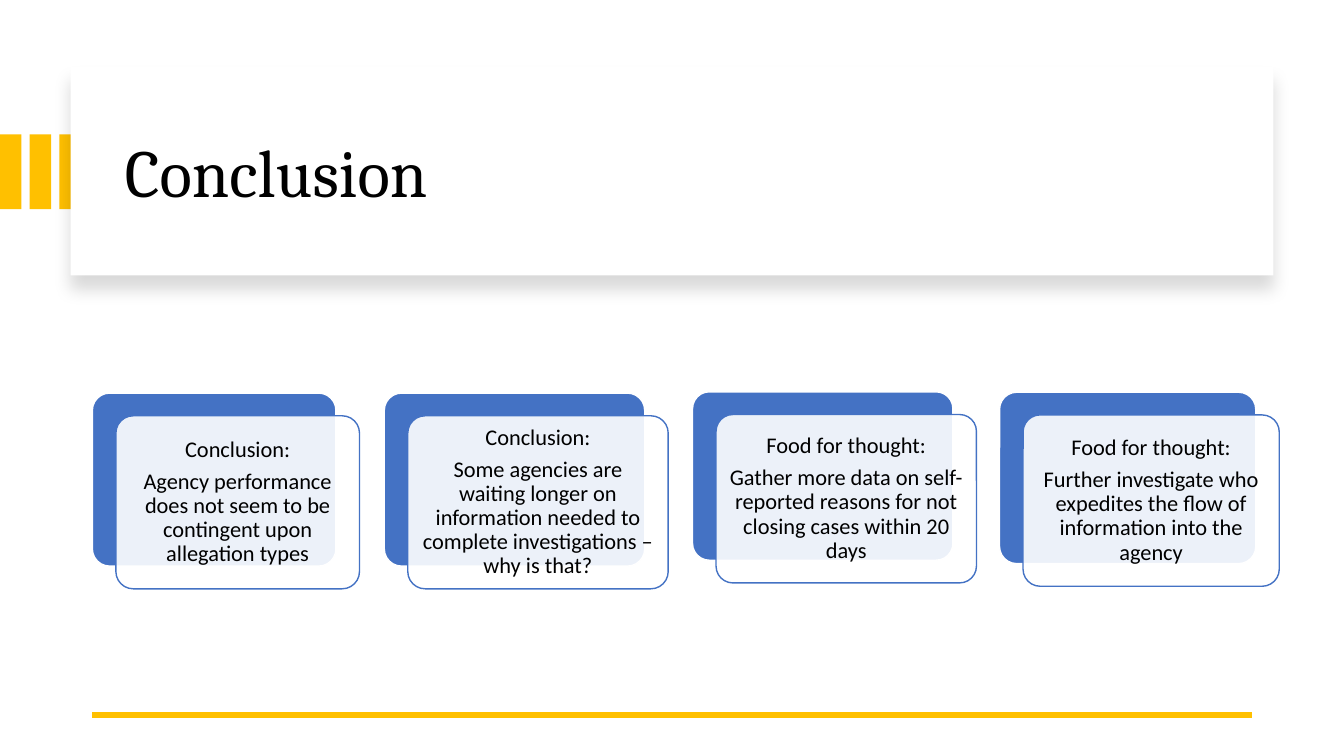
from dataclasses import dataclass

from lxml.etree import SubElement
from pptx import Presentation
from pptx.dml.color import RGBColor
from pptx.enum.shapes import MSO_CONNECTOR, MSO_SHAPE
from pptx.enum.text import MSO_ANCHOR, PP_ALIGN
from pptx.oxml.ns import qn
from pptx.util import Inches, Pt

TITLE = "Conclusion"
CARDS = [
    ("Conclusion:",
     "Agency performance does not seem to be contingent upon allegation types",
     (11, 46.8, 29, 20.6)),
    ("Conclusion:",
     "Some agencies are waiting longer on information needed to complete "
     "investigations – why is that?",
     (45.75, 46.8, 31, 20.6)),
    ("Food for thought:",
     "Gather more data on self-reported reasons for not closing cases within 20 days",
     (82.45, 46.65, 31, 20.05)),
    ("Food for thought:",
     "Further investigate who expedites the flow of information into the agency",
     (119, 46.7, 30.5, 20.4)),
]


@dataclass(frozen=True)
class Theme:
    gold: str = "FFC000"
    blue: str = "4472C4"
    white: str = "FFFFFF"
    black: str = "000000"
    title_font: str = "Cambria"
    body_font: str = "Calibri"
    title_size: float = 48
    body_size: float = 16
    rule_width: float = 4.5


THEME = Theme()
COLUMNS, ROWS = 160, 90
BAR_COUNT, BAR_STEP = 3, 3.54
BAR_TOP, BAR_WIDTH, BAR_HEIGHT = 16, 2.56, 8.9
PANEL = (8.4, 8, 143.2, 24.8)
TITLE_BOX = (13.68, 10.7, 133.6, 20.4)
RULE_START, RULE_END, RULE_ROW = 149, 11, 85.1
CARD_SHIFT_X, CARD_SHIFT_Y = 2.8, 2.7

prs = Presentation()
prs.slide_width, prs.slide_height = Inches(13.333), Inches(7.5)
slide = prs.slides.add_slide(prs.slide_layouts[6])


def x(columns):
    return round(prs.slide_width * columns / COLUMNS)


def y(rows):
    return round(prs.slide_height * rows / ROWS)


def place(box):
    left, top, width, height = box
    return x(left), y(top), x(width), y(height)


def add_block(box, fill, kind=MSO_SHAPE.RECTANGLE, outline=None):
    block = slide.shapes.add_shape(kind, *place(box))
    block.shadow.inherit = False
    block.fill.solid()
    block.fill.fore_color.rgb = RGBColor.from_string(fill)
    if outline:
        block.line.color.rgb = RGBColor.from_string(outline)
        block.line.width = Pt(1)
    else:
        block.line.fill.background()
    if kind == MSO_SHAPE.ROUNDED_RECTANGLE:
        block.adjustments[0] = 0.1
    return block


def write(holder, paragraphs, *, font, size, align, inset=None, after=0):
    frame = holder.text_frame
    frame.word_wrap = True
    frame.vertical_anchor = MSO_ANCHOR.MIDDLE
    if inset is not None:
        frame.margin_left = frame.margin_right = Inches(inset)
        frame.margin_top = frame.margin_bottom = Inches(inset)
    for index, words in enumerate(paragraphs):
        paragraph = frame.add_paragraph() if index else frame.paragraphs[0]
        paragraph.alignment = align
        paragraph.line_spacing = 0.9
        paragraph.space_after = Pt(after)
        run = paragraph.add_run()
        run.text = words
        run.font.name = font
        run.font.size = Pt(size)
        run.font.color.rgb = RGBColor.from_string(THEME.black)


def set_alpha(color, percent):
    SubElement(color, qn("a:alpha"), val=str(percent * 1000))


def drop_shadow(block, blur, distance, opacity):
    effects = block._element.spPr.find(qn("a:effectLst"))
    shadow = SubElement(effects, qn("a:outerShdw"), blurRad=str(Pt(blur)),
                        dist=str(Pt(distance)), dir="5400000",
                        algn="t", rotWithShape="0")
    set_alpha(SubElement(shadow, qn("a:srgbClr"), val=THEME.black), opacity)


for position in range(BAR_COUNT):
    add_block((position * BAR_STEP, BAR_TOP, BAR_WIDTH, BAR_HEIGHT), THEME.gold)

panel = add_block(PANEL, THEME.white)
drop_shadow(panel, blur=11, distance=10, opacity=15)

heading = slide.shapes.add_textbox(*place(TITLE_BOX))
write(heading, [TITLE], font=THEME.title_font, size=THEME.title_size,
      align=PP_ALIGN.LEFT)

rule = slide.shapes.add_connector(MSO_CONNECTOR.STRAIGHT, x(RULE_START), y(RULE_ROW),
                                  x(RULE_END), y(RULE_ROW))
rule.line.color.rgb = RGBColor.from_string(THEME.gold)
rule.line.width = Pt(THEME.rule_width)
SubElement(rule._element.spPr, qn("a:effectLst"))

for label, message, (left, top, width, height) in CARDS:
    add_block((left, top, width, height), THEME.blue,
              MSO_SHAPE.ROUNDED_RECTANGLE, THEME.white)
    card = add_block((left + CARD_SHIFT_X, top + CARD_SHIFT_Y, width, height),
                     THEME.white, MSO_SHAPE.ROUNDED_RECTANGLE, THEME.blue)
    set_alpha(card._element.spPr.find(qn("a:solidFill"))[0], 90)
    write(card, [label, message], font=THEME.body_font, size=THEME.body_size,
          align=PP_ALIGN.CENTER, inset=0.07, after=THEME.body_size * 0.35)

prs.save("out.pptx")
